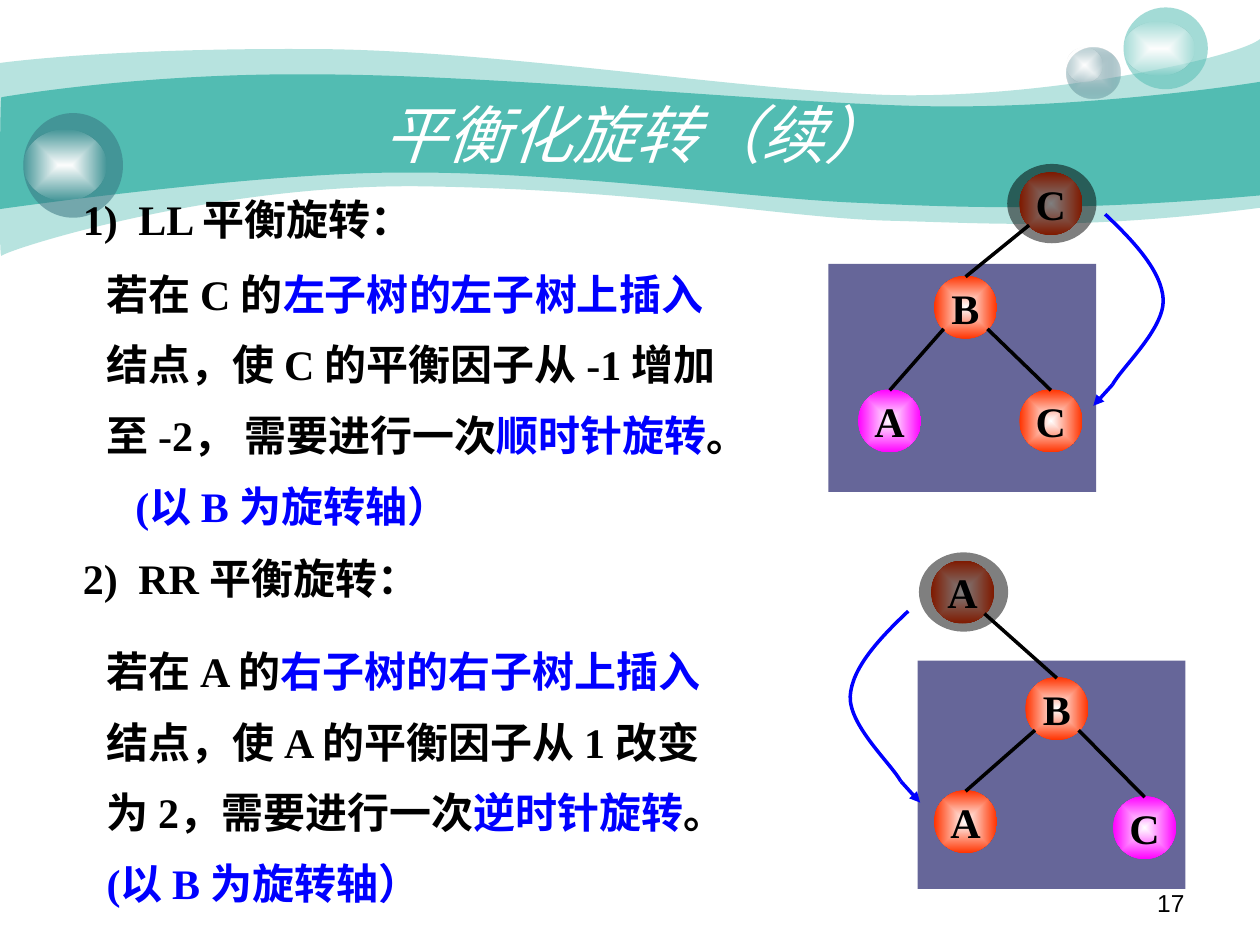
import pptx
import pptx.dml.color
import pptx.enum.shapes
import pptx.enum.text
import pptx.oxml.ns
import pptx.util
from lxml import etree

Cm = pptx.util.Cm
qn = pptx.oxml.ns.qn
PP = pptx.enum.text.PP_ALIGN
ANCHOR = pptx.enum.text.MSO_ANCHOR
SHAPE = pptx.enum.shapes.MSO_SHAPE

CJK, SERIF = "Noto Sans CJK JP", "Times New Roman"
BLACK, WHITE, BLUE = "000000", "FFFFFF", "0000FF"
TEAL, SLATE, PANEL = "52BCB2", "37737F", "666699"
RED, PINK = "FF3300", "FF00FF"

# All positions are in cm. An outline is a start point, then segments:
# one point for a straight line, three for a cubic curve.
BANDS = [
    (41, (0, 1.27), [
        [(0.61, 1.19), (2.72, 0.97), (6.27, 0.99)],
        [(9.8, 0.99), (14.61, 1.78), (17.75, 1.91)],
        [(20.88, 2.03), (24.89, 1.19), (25.4, 0.79)],
        [(25.4, 4.19)],
        [(21.79, 4.65), (19.99, 4.5), (17.91, 4.45)],
        [(15.8, 4.39), (13.08, 3.84), (8.71, 3.76)],
        [(4.37, 3.66), (0.1, 5.05), (0.03, 5.16)],
        [(-0.03, 5.28), (0, 1.91), (0, 1.27)]]),
    (100, (0.03, 1.96), [
        [(0.05, 1.96), (2.79, 1.47), (6.3, 1.5)],
        [(9.8, 1.5), (15.11, 2.03), (18.24, 2.13)],
        [(21.36, 2.24), (24.79, 1.75), (25.4, 1.65)],
        [(25.4, 3.94)],
        [(21.67, 4.27), (19.43, 4.19), (17.32, 4.09)],
        [(15.21, 4.01), (11.35, 3.45), (8.05, 3.48)],
        [(5.16, 3.48), (-0.05, 4.22), (-0.03, 4.22)],
        [(0, 4.22), (0, 1.96), (0.03, 1.96)]]),
]
# orb box, its fill, box of the gloss on it
ORBS = [
    ((21.51, 0.97, 1.07, 1.02), dict(color="CCDBDE", edge=SLATE, alpha=31),
     (21.51, 0.97, 0.71, 0.69)),
    ((22.65, 0.15, 1.7, 1.65), dict(color=TEAL, alpha=53), (22.65, 0.43, 1.42, 1.09)),
    ((0.47, 2.28, 2.01, 2.11), dict(color=SLATE, alpha=53), (0.47, 2.62, 1.68, 1.42)),
]

TITLE = "平衡化旋转（续）"
SECTIONS = [
    dict(heading="1)\tLL 平衡旋转：", heading_top=3.78, box=(1.9, 4.88, 14, 7.37),
         last_indent=0.58, body=[
        [("若在 C 的", BLACK), ("左子树的左子树上插入", BLUE)],
        [("结点，使 C 的平衡因子从 -1 增加", BLACK)],
        [("至 -2， 需要进行一次", BLACK), ("顺时针旋转", BLUE), ("。", BLACK)],
        [("(以 B 为旋转轴）", BLUE)]]),
    dict(heading="2)\tRR 平衡旋转：", heading_top=11.01, box=(1.9, 12.49, 14, 5.94),
         last_indent=0, body=[
        [("若在 A 的", BLACK), ("右子树的右子树上插入", BLUE)],
        [("结点，使 A 的平衡因子从 1 改变", BLACK)],
        [("为 2，需要进行一次", BLACK), ("逆时针旋转", BLUE), ("。", BLACK),
         ("(以 B 为旋转轴）", BLUE)]]),
]
# nodes: letter, left, top, colour; the first is the old root, then the pivot
TREES = [
    dict(panel=(16.7, 5.32), turn=(22.28, 4.32), side=1, nodes=[
        ("C", 20.55, 3.47, RED), ("B", 18.83, 5.56, RED),
        ("A", 17.3, 7.85, PINK), ("C", 20.55, 7.85, RED)]),
    dict(panel=(18.5, 13.32), turn=(18.31, 12.32), side=-1, nodes=[
        ("A", 18.77, 11.3, RED), ("B", 20.67, 13.65, RED),
        ("A", 18.83, 15.93, RED), ("C", 22.44, 16.05, PINK)]),
]
EDGES = [(0, 1), (1, 2), (1, 3)]
NODE = 1.27
SHADE_W, SHADE_H = 1.8, 1.6
TURN = [[(0.56, 0.53), (1.14, 1.14), (1.17, 1.72)],
        [(1.19, 2.31), (0.35, 3.07), (0.15, 3.43)]]
TURN_TIP = (-0.24, 3.86)


def rgb(color):
    return pptx.dml.color.RGBColor.from_string(color)


def paint(sp, color, edge=None, alpha=100):
    """Fill plainly, or from color at the centre to edge; alpha applies to the last colour."""
    sp.shadow.inherit = False
    sp.line.fill.background()
    if edge:
        sp.fill.gradient()
        for stop, c in zip(sp.fill.gradient_stops, (color, edge)):
            stop.color.rgb = rgb(c)
        grad = sp.element.spPr.find(qn("a:gradFill"))
        grad.remove(grad.find(qn("a:lin")))
        rect = etree.SubElement(etree.SubElement(grad, qn("a:path"), path="rect"),
                                qn("a:fillToRect"))
        for side in "ltrb":
            rect.set(side, "50000")
    else:
        sp.fill.solid()
        sp.fill.fore_color.rgb = rgb(color)
    if alpha < 100:
        last = list(sp.element.spPr.iter(qn("a:srgbClr")))[-1]
        etree.SubElement(last, qn("a:alpha"), val=str(alpha * 1000))


def write(tf, paras, size=24, font=SERIF, color=BLACK, bold=False, italic=False,
          align=PP.LEFT, anchor=ANCHOR.TOP, spacing=None, wrap=True):
    """Set paragraphs, each a string or a list of (text, colour) runs."""
    tf.word_wrap = wrap
    tf.auto_size = pptx.enum.text.MSO_AUTO_SIZE.NONE
    tf.vertical_anchor = anchor
    for i, para in enumerate(paras):
        p = tf.add_paragraph() if i else tf.paragraphs[0]
        p.alignment = align
        if spacing:
            p.line_spacing = spacing
        for text, c in [(para, color)] if isinstance(para, str) else para:
            r = p.add_run()
            r.text = text
            f = r.font
            f.size, f.name, f.bold, f.italic = pptx.util.Pt(size), font, bold, italic
            f.color.rgb = rgb(c)
            etree.SubElement(r._r.get_or_add_rPr(), qn("a:ea"), typeface=CJK)


def add_shape(s, kind, box, **fill):
    sp = s.shapes.add_shape(kind, *map(Cm, box))
    paint(sp, **fill)
    return sp


def add_text(s, box, paras, **fmt):
    tf = s.shapes.add_textbox(*map(Cm, box)).text_frame
    write(tf, paras, **fmt)
    return tf


def indent(p, left, first=0):
    pPr = p._p.get_or_add_pPr()
    pPr.set("marL", str(Cm(left)))
    pPr.set("indent", str(Cm(first)))


def add_outline(s, start, segments, close):
    """Build a freeform through every point, then join each three-point segment into a curve."""
    fb = s.shapes.build_freeform(Cm(start[0]), Cm(start[1]))
    fb.add_line_segments([(Cm(x), Cm(y)) for seg in segments for x, y in seg], close=close)
    sp = fb.convert_to_shape()
    lines = iter(list(sp.element.spPr.iter(qn("a:lnTo"))))
    for seg in segments:
        first, *rest = [next(lines) for _ in seg]
        if rest:
            curve = etree.Element(qn("a:cubicBezTo"))
            first.addprevious(curve)
            for line in (first, *rest):
                curve.append(line[0])
                line.getparent().remove(line)
    return sp


def stroke(sp, color):
    sp.line.color.rgb = rgb(color)
    sp.line.width = pptx.util.Pt(2)


def add_line(s, start, end, color=BLACK, arrow=False):
    ln = s.shapes.add_connector(pptx.enum.shapes.MSO_CONNECTOR.STRAIGHT,
                                *map(Cm, (*start, *end)))
    stroke(ln, color)
    spPr = ln.element.spPr
    if arrow:
        etree.SubElement(spPr.find(qn("a:ln")), qn("a:tailEnd"), type="triangle")
    etree.SubElement(spPr, qn("a:effectLst"))


def draw_tree(s, panel, turn, side, nodes):
    add_shape(s, SHAPE.RECTANGLE, (*panel, 5.4, 4.6), color=PANEL)
    for letter, x, y, color in nodes:
        sp = add_shape(s, SHAPE.OVAL, (x, y, NODE, NODE), color=WHITE, edge=color)
        write(sp.text_frame, [letter], bold=True, align=PP.CENTER,
              anchor=ANCHOR.MIDDLE, wrap=False)
    for parent, child in EDGES:
        (_, px, py, _), (_, cx, cy, _) = nodes[parent], nodes[child]
        dx = 0.44 if cx > px else -0.44
        add_line(s, (px + NODE / 2 + dx, py + 1.07), (cx + NODE / 2, cy + 0.02))
    _, x, y, _ = nodes[0]
    add_shape(s, SHAPE.OVAL, (x - (SHADE_W - NODE) / 2 + 0.02, y - (SHADE_H - NODE) / 2,
                              SHADE_W, SHADE_H), color=BLACK, alpha=50)

    def place(point):
        return turn[0] + side * point[0], turn[1] + point[1]

    curve = add_outline(s, turn, [[place(q) for q in seg] for seg in TURN], close=False)
    curve.shadow.inherit = False
    curve.fill.background()
    stroke(curve, BLUE)
    add_line(s, place(TURN[-1][-1]), place(TURN_TIP), BLUE, arrow=True)


def main():
    prs = pptx.Presentation()
    prs.slide_width, prs.slide_height = Cm(25.4), Cm(19.05)
    s = prs.slides.add_slide(prs.slide_layouts[5])

    for alpha, start, segments in BANDS:
        paint(add_outline(s, start, segments, close=True), TEAL, alpha=alpha)
    for box, fill, gloss in ORBS:
        add_shape(s, SHAPE.OVAL, box, **fill)
        add_shape(s, SHAPE.OVAL, gloss, color=WHITE, edge=WHITE, alpha=0)

    title = s.shapes.title
    s.shapes.element.append(title.element)  # bring in front of the bands
    title.left, title.top, title.width, title.height = map(Cm, (2.55, 1.9, 20.52, 1.57))
    write(title.text_frame, [TITLE], size=36, font=CJK, color=WHITE, italic=True,
          align=PP.CENTER, anchor=ANCHOR.MIDDLE)

    for tree in TREES:
        draw_tree(s, **tree)
    for sec in SECTIONS:
        tf = add_text(s, (1.42, sec["heading_top"], 7.65, 1.27), [sec["heading"]], bold=True)
        indent(tf.paragraphs[0], 1.12, -1.12)
        tf = add_text(s, sec["box"], sec["body"], bold=True, spacing=1.4)
        indent(tf.paragraphs[-1], sec["last_indent"])
    add_text(s, (18.21, 17.78, 5.92, 0.89), ["17"], size=14, font="Arial", align=PP.RIGHT)
    prs.save("out.pptx")


if __name__ == "__main__":
    main()
